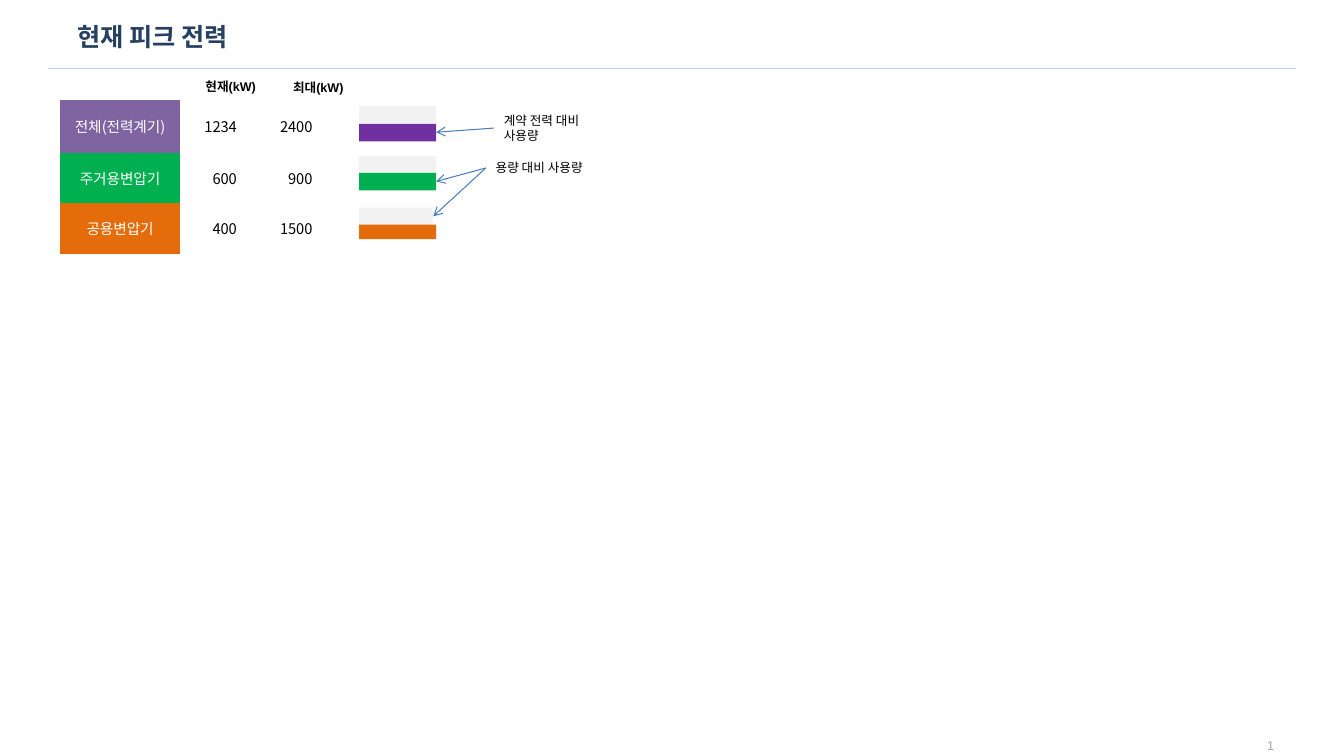
import pptx
import pptx.dml.color
import pptx.enum.shapes
import pptx.enum.text
import pptx.oxml
import pptx.oxml.ns
import pptx.util
import lxml.etree

Pt = pptx.util.Pt
RGB = pptx.dml.color.RGBColor.from_string
ALIGN = pptx.enum.text.PP_ALIGN
MIDDLE = pptx.enum.text.MSO_ANCHOR.MIDDLE
qn = pptx.oxml.ns.qn

THEME = {
    "korean": "Noto Sans CJK KR", "latin": "Arial",
    "title_size": 18, "table_size": 10.5, "label_size": 9,
    "title": "254061", "text": "000000", "white": "FFFFFF", "page": "A6A6A6",
    "rule": "C2D1ED", "arrow": "4B7EBC", "track": "F2F2F2",
    "total": "8064A2", "total_bar": "7030A0", "homes": "00B050", "shared": "E46C0A",
}
PLAIN_TABLE = "{2D5ABB26-0587-4C30-8999-92F81FD0307C}"


def write(frame, text, size, color, font="latin", bold=False, align=ALIGN.LEFT):
    """Put one formatted paragraph into a text frame."""
    frame.text = text
    frame.word_wrap = True
    paragraph = frame.paragraphs[0]
    paragraph.alignment = align
    run = paragraph.runs[0]
    run.font.size = Pt(THEME[size])
    run.font.bold = bold
    run.font.name = THEME[font]
    run.font.color.rgb = RGB(THEME[color])
    east_asian = lxml.etree.SubElement(run.font._element, qn("a:ea"))
    east_asian.set("typeface", THEME["korean"])
    return run


def draw_line(start, end, color, width, arrow=False):
    """Draw a straight line, with an open arrowhead at its end if asked."""
    line = slide.shapes.add_connector(
        pptx.enum.shapes.MSO_CONNECTOR.STRAIGHT, *map(Pt, start + end))
    line.line.color.rgb = RGB(THEME[color])
    line.line.width = Pt(width)
    properties = line._element.spPr
    if arrow:
        head = lxml.etree.SubElement(properties.find(qn("a:ln")), qn("a:tailEnd"))
        head.set("type", "arrow")
    lxml.etree.SubElement(properties, qn("a:effectLst"))


deck = pptx.Presentation()
deck.slide_width, deck.slide_height = Pt(960), Pt(540)
slide = deck.slides.add_slide(deck.slide_layouts[5])

# Title and the rule below it
title = slide.shapes.title
title.left, title.top, title.width, title.height = Pt(48), Pt(3.6), Pt(864), Pt(45.4)
write(title.text_frame, "현재 피크 전력", "title_size", "title", "korean", bold=True)
title.text_frame.vertical_anchor = MIDDLE
draw_line((34, 49), (926, 49), "rule", 1)

# Page number, as a live field
page = slide.shapes.add_textbox(Pt(880.6), Pt(525), Pt(54), Pt(15)).text_frame
number = write(page, "1", "label_size", "page", align=ALIGN.CENTER)._r
page.vertical_anchor = MIDDLE
number.tag = qn("a:fld")
number.set("id", "{B6F15528-21DE-4FAA-801E-634DDDAF4B2B}")
number.set("type", "slidenum")

# Power table: name, fill, current, maximum, row height
meters = [
    ("전체(전력계기)", "total", 1234, 2400, 38),
    ("주거용변압기", "homes", 600, 900, 36),
    ("공용변압기", "shared", 400, 1500, 36),
]
power = slide.shapes.add_table(3, 3, Pt(43.2), Pt(71.3), Pt(187.2), Pt(110)).table
power.first_row = power.horz_banding = False
power._tbl.tblPr.find(qn("a:tableStyleId")).text = PLAIN_TABLE
for column, width in zip(power.columns, (85.2, 48, 54)):
    column.width = Pt(width)
for row, (name, fill, current, maximum, height) in enumerate(meters):
    power.rows[row].height = Pt(height)
    for col, value in enumerate((name, current, maximum)):
        cell = power.cell(row, col)
        cell.fill.solid()
        cell.fill.fore_color.rgb = RGB(THEME["white" if col else fill])
        cell.vertical_anchor = MIDDLE
        write(cell.text_frame, str(value), "table_size", "text" if col else "white",
              "korean", align=ALIGN.RIGHT if col else ALIGN.CENTER)

# Usage gauges: top, width, height, colour
gauges = [
    (75.6, 55, 12.5, "track"), (88.5, 55, 12.5, "total_bar"),
    (111.5, 55, 12.5, "track"), (123.5, 55, 12.5, "homes"),
    (148.3, 52.6, 12.5, "track"), (160.5, 55, 10.3, "shared"),
]
for top, width, height, color in gauges:
    gauge = slide.shapes.add_shape(pptx.enum.shapes.MSO_SHAPE.RECTANGLE,
                                   Pt(256.5), Pt(top), Pt(width), Pt(height))
    gauge.shadow.inherit = False
    gauge.fill.solid()
    gauge.fill.fore_color.rgb = RGB(THEME[color])
    gauge.line.fill.background()

# Column headings and gauge notes
labels = [
    ("현재(kW)", 139.7, 53, 53.3, 18, True),
    ("최대(kW)", 202.3, 53.5, 53.3, 18, True),
    ("계약 전력 대비 사용량", 352.8, 77, 92.9, 29, False),
    ("용량 대비 사용량", 347, 110.9, 92.9, 18, False),
]
for text, left, top, width, height, bold in labels:
    label = slide.shapes.add_textbox(Pt(left), Pt(top), Pt(width), Pt(height))
    write(label.text_frame, text, "label_size", "text", bold=bold)

# Arrows from the notes to the gauges
for start, end in [((352.8, 91.5), (311.5, 94.5)),
                   ((347, 120), (311.5, 129.6)),
                   ((347, 120), (309.5, 154.5))]:
    draw_line(start, end, "arrow", 0.75, arrow=True)

deck.save("out.pptx")
